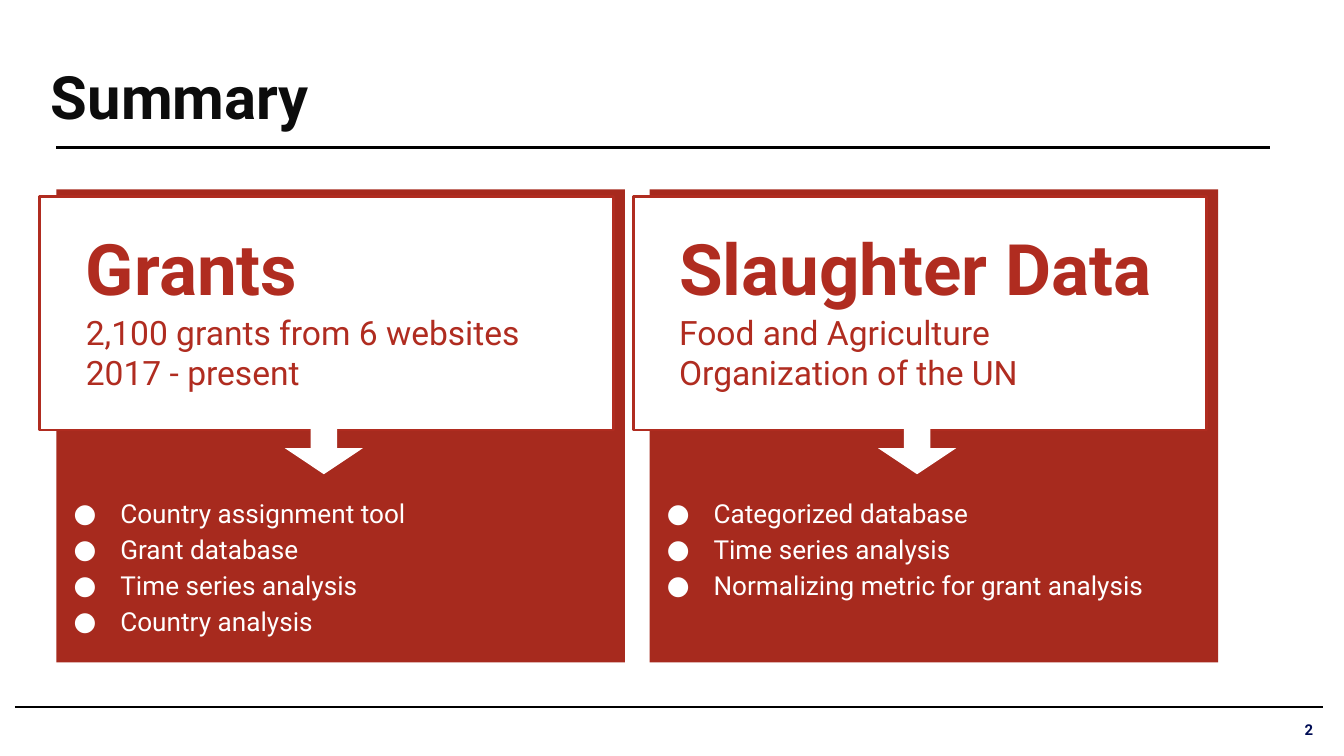
"""Build the summary slide comparing grants with slaughter data."""
from lxml import etree
from pptx import Presentation
from pptx.dml.color import RGBColor
from pptx.enum.shapes import MSO_CONNECTOR, MSO_SHAPE
from pptx.enum.text import MSO_ANCHOR, PP_ALIGN
from pptx.oxml.ns import qn
from pptx.util import Pt

STRAIGHT = MSO_CONNECTOR.STRAIGHT
RECTANGLE = MSO_SHAPE.RECTANGLE
DOWN_ARROW = MSO_SHAPE.DOWN_ARROW
TOP = MSO_ANCHOR.TOP
MIDDLE = MSO_ANCHOR.MIDDLE
LEFT = PP_ALIGN.LEFT
RIGHT = PP_ALIGN.RIGHT

BLACK = RGBColor(0x00, 0x00, 0x00)
INK = RGBColor(0x0C, 0x0C, 0x0C)
NAVY = RGBColor(0x00, 0x0D, 0x55)
WHITE = RGBColor(0xFF, 0xFF, 0xFF)
PANEL_RED = RGBColor(0xA7, 0x2A, 0x1E)
ACCENT_RED = RGBColor(0xB0, 0x2C, 0x20)

FONT = "Roboto"
FIRST_PANEL_LEFT = 30.2
PANEL_PITCH = 317.8
PANELS = [
    (
        "Grants",
        ["2,100 grants from 6 websites", "2017 - present"],
        ["Country assignment tool", "Grant database",
         "Time series analysis", "Country analysis"],
    ),
    (
        "Slaughter Data",
        ["Food and Agriculture Organization of the UN"],
        ["Categorized database", "Time series analysis",
         "Normalizing metric for grant analysis"],
    ),
]


def add_rule(page, left, right, y, weight):
    """Draw a horizontal black line."""
    rule = page.shapes.add_connector(STRAIGHT, Pt(left), Pt(y), Pt(right), Pt(y))
    rule.line.color.rgb = BLACK
    rule.line.width = Pt(weight)
    etree.SubElement(rule._element.spPr, qn("a:effectLst"))


def add_block(page, kind, bounds, fill, outline=None):
    """Add a filled preset shape, outlined only when a colour is given."""
    block = page.shapes.add_shape(kind, *map(Pt, bounds))
    block.shadow.inherit = False
    block.fill.solid()
    block.fill.fore_color.rgb = fill
    if outline is None:
        block.line.fill.background()
    else:
        block.line.color.rgb = outline
        block.line.width = Pt(1.5)
    return block


def add_bullet(para):
    """Give a paragraph a hanging white round bullet."""
    properties = para._p.get_or_add_pPr()
    properties.set("marL", str(Pt(36)))
    properties.set("indent", str(-Pt(25)))
    colour = etree.SubElement(properties, qn("a:buClr"))
    etree.SubElement(colour, qn("a:srgbClr"), val=str(WHITE))
    etree.SubElement(properties, qn("a:buFont"), typeface=FONT)
    etree.SubElement(properties, qn("a:buChar"), char="●")


def add_text(page, bounds, lines, size, colour, bold=False, inset=(7.2, 7.2),
             anchor=TOP, align=LEFT, bullets=False):
    """Add a wrapped text box with one paragraph per line."""
    box = page.shapes.add_textbox(*map(Pt, bounds))
    frame = box.text_frame
    frame.word_wrap = True
    frame.vertical_anchor = anchor
    frame.margin_left = frame.margin_right = Pt(inset[0])
    frame.margin_top = frame.margin_bottom = Pt(inset[1])
    frame.text = "\n".join(lines)
    for para in frame.paragraphs:
        para.alignment = align
        if bullets:
            para.line_spacing = 1.15
            add_bullet(para)
        for span in para.runs:
            span.font.name = FONT
            span.font.size = Pt(size)
            span.font.bold = bold
            span.font.color.rgb = colour


def add_panel(page, left, heading, details, outputs):
    """Add a red panel with a white header card, an arrow and a bullet list."""
    card_left = left - 8.8
    text_left = left + 8.7
    add_block(page, RECTANGLE, (left, 101.5, 304.6, 253.4), PANEL_RED)
    add_block(page, RECTANGLE, (card_left, 105.1, 307.4, 125.3), WHITE, ACCENT_RED)
    add_text(page, (text_left, 159.8, 272.2, 54.7), details, 18, ACCENT_RED)
    add_text(page, (text_left, 113, 272.2, 41.8), [heading], 38, ACCENT_RED, bold=True)
    arrow = add_block(page, DOWN_ARROW, (left + 122.4, 229.6, 41.8, 24.5), WHITE)
    arrow.adjustments[0] = 0.34
    arrow.adjustments[1] = 0.57
    add_text(page, (card_left, 257, 304.6, 88.6), outputs, 14, WHITE, bullets=True)


def main():
    """Build and save the deck."""
    deck = Presentation()
    deck.slide_width = Pt(720)
    deck.slide_height = Pt(405)
    page = deck.slides.add_slide(deck.slide_layouts[6])
    add_rule(page, 8, 708.5, 378.7, 0.75)
    add_text(page, (22.3, 17.3, 654.5, 67.7), ["Summary"], 32, INK, bold=True,
             inset=(5, 5), anchor=MIDDLE)
    add_text(page, (669.6, 380.2, 38.9, 21.6), ["2"], 8, NAVY, bold=True,
             inset=(5, 2.9), anchor=MIDDLE, align=RIGHT)
    add_rule(page, 30.2, 680.4, 79.2, 1.5)
    for index, panel in enumerate(PANELS):
        add_panel(page, FIRST_PANEL_LEFT + index * PANEL_PITCH, *panel)
    deck.save("out.pptx")


if __name__ == "__main__":
    main()
